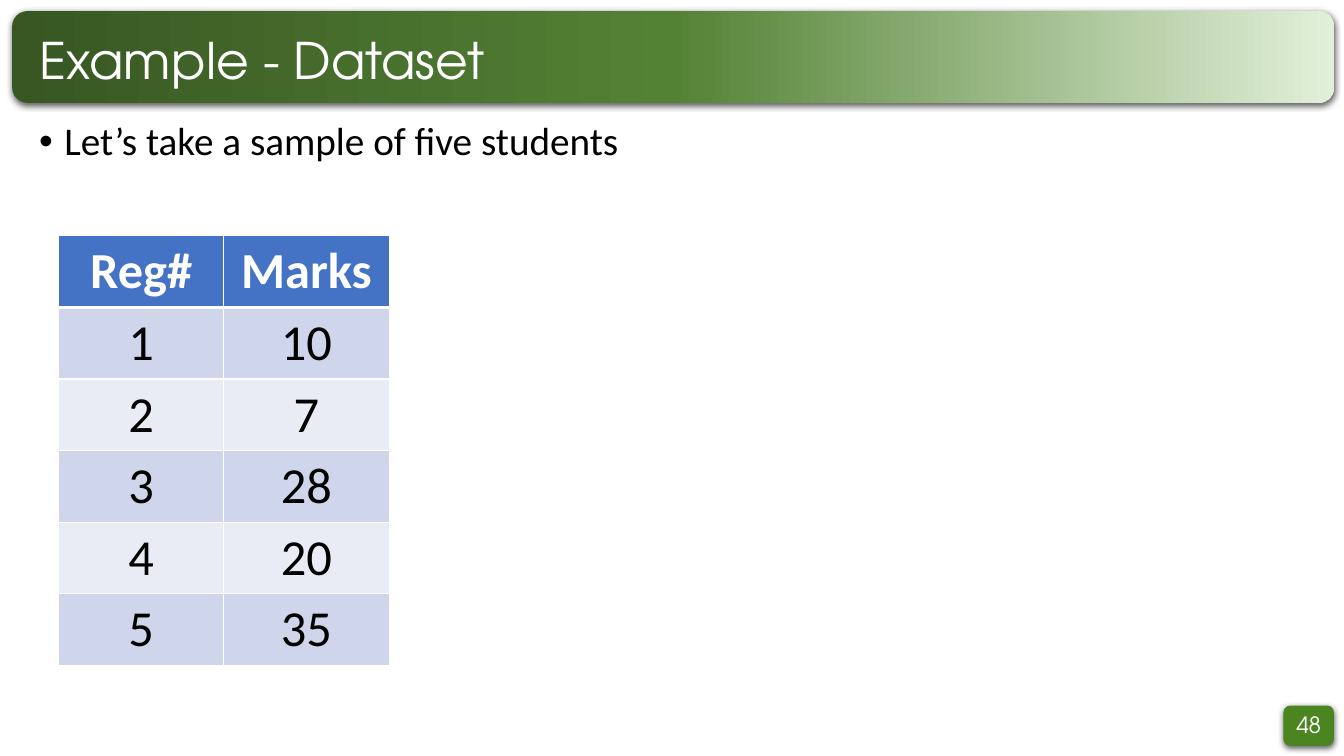
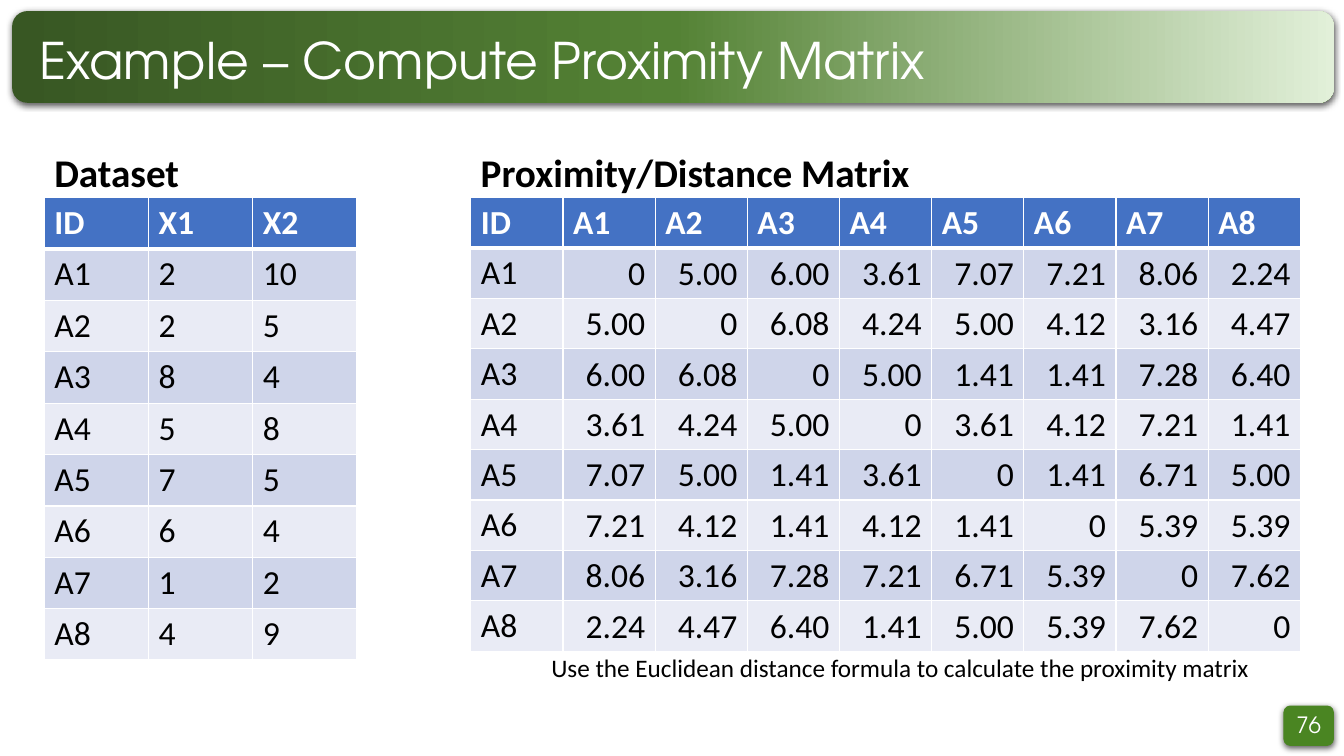
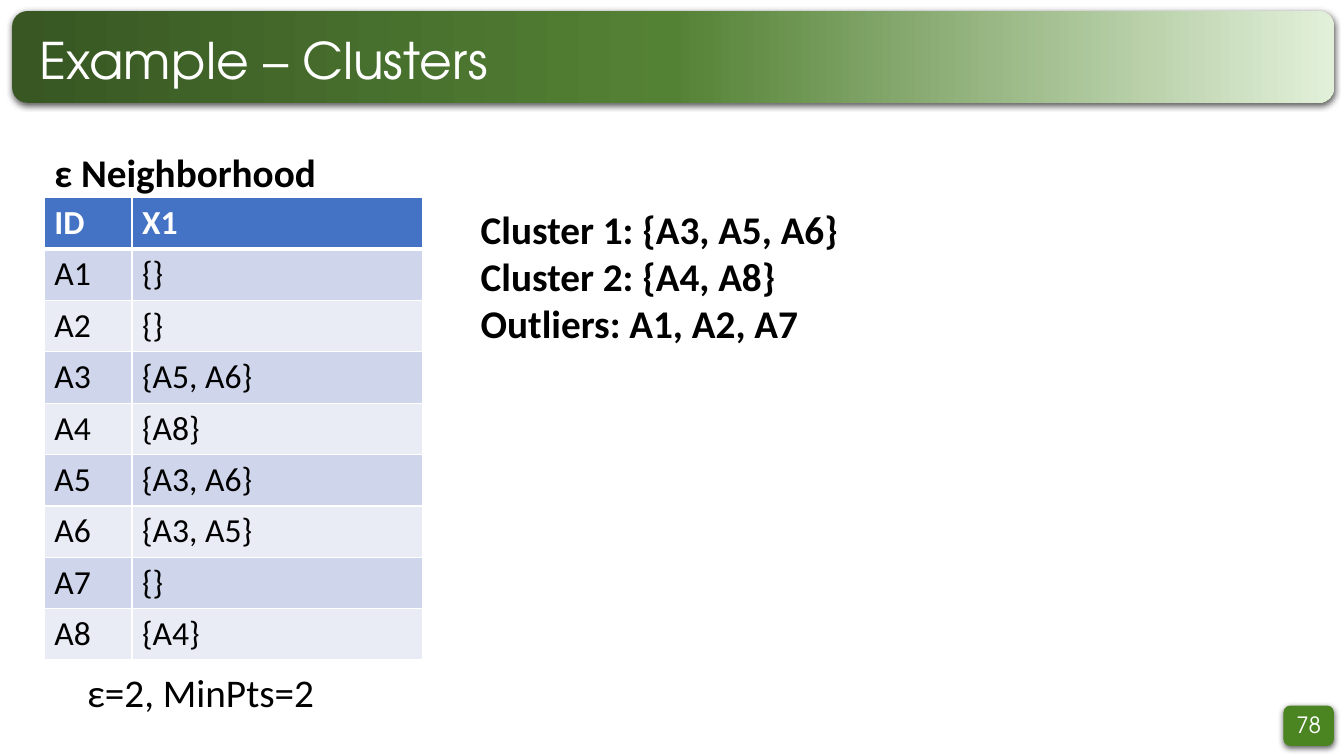
"""Build three slides on density-based clustering: dataset, proximity matrix, clusters."""
from lxml.etree import SubElement
from pptx import Presentation
from pptx.dml.color import RGBColor
from pptx.enum.shapes import MSO_SHAPE
from pptx.enum.text import MSO_ANCHOR, MSO_AUTO_SIZE, PP_ALIGN
from pptx.oxml import parse_xml
from pptx.oxml.ns import nsdecls, qn
from pptx.util import Inches, Pt

BODY_FONT, HEAD_FONT = "Calibri", "TeX Gyre Adventor"
WHITE, BLACK, BADGE = "FFFFFF", "000000", "4A8522"
HEADER, BANDS = "4472C4", ("CFD5EA", "E9EBF5")
BANNER_STOPS = ((0, "385723"), (50, "548235"), (100, "E2F0D9"))
BADGE_BOX, BANNER_BOX = (12.73, 7, 0.5, 0.4), (0.12, 0.11, 13.11, 0.91)
TITLE_BOX = (0.29, 0.3, 12.76, 0.65)
LEFT, RIGHT, LABEL_TOP, TABLE_TOP = 0.44, 4.67, 1.42, 1.96
SIDE_W, MAIN_W, LABEL_H = 3.1, 8.23, 0.57

IDS = [f"A{n}" for n in range(1, 9)]
MARKS = [("Reg#", "Marks"), ("1", "10"), ("2", "7"), ("3", "28"), ("4", "20"), ("5", "35")]
POINTS = ["2 10", "2 5", "8 4", "5 8", "7 5", "6 4", "1 2", "4 9"]
DISTANCES = [
    "0 5.00 6.00 3.61 7.07 7.21 8.06 2.24",
    "5.00 0 6.08 4.24 5.00 4.12 3.16 4.47",
    "6.00 6.08 0 5.00 1.41 1.41 7.28 6.40",
    "3.61 4.24 5.00 0 3.61 4.12 7.21 1.41",
    "7.07 5.00 1.41 3.61 0 1.41 6.71 5.00",
    "7.21 4.12 1.41 4.12 1.41 0 5.39 5.39",
    "8.06 3.16 7.28 7.21 6.71 5.39 0 7.62",
    "2.24 4.47 6.40 1.41 5.00 5.39 7.62 0",
]
NEIGHBORS = ["{}", "{}", "{A5, A6}", "{A8}", "{A3, A6}", "{A3, A5}", "{}", "{A4}"]
CLUSTERS = "Cluster 1: {A3, A5, A6}\nCluster 2: {A4, A8}\nOutliers: A1, A2, A7"


def rgb(value):
    return RGBColor.from_string(value)


def inches(box):
    return [Inches(v) for v in box]


def style(p, size, color=BLACK, bold=False, font=BODY_FONT, align=PP_ALIGN.LEFT):
    p.alignment = align
    for r in p.runs:
        r.font.name, r.font.size, r.font.bold = font, Pt(size), bold
        r.font.color.rgb = rgb(color)


def add_text(s, box, text, size, anchor=MSO_ANCHOR.TOP, **look):
    tf = s.shapes.add_textbox(*inches(box)).text_frame
    tf.word_wrap, tf.vertical_anchor = True, anchor
    tf.text = text
    for p in tf.paragraphs:
        style(p, size, **look)
    return tf


def add_panel(s, box, stops):
    sp = s.shapes.add_shape(MSO_SHAPE.ROUNDED_RECTANGLE, *inches(box))
    sp.line.fill.background()
    if len(stops) == 1:
        sp.fill.solid()
        sp.fill.fore_color.rgb = rgb(stops[0][1])
    else:
        sp.fill.gradient()
        sp.fill.gradient_angle = 0
        gs_list = sp.element.spPr.find(qn("a:gradFill")).find(qn("a:gsLst"))
        for gs in list(gs_list):
            gs_list.remove(gs)
        for pos, color in stops:
            gs = SubElement(gs_list, qn("a:gs"), pos=str(pos * 1000))
            SubElement(gs, qn("a:srgbClr"), val=color)
    sp.element.spPr.append(parse_xml(
        f'<a:effectLst {nsdecls("a")}><a:outerShdw blurRad="{Pt(4.5)}" dist="{Pt(1.5)}" '
        'dir="5400000" algn="t" rotWithShape="0"><a:srgbClr val="000000">'
        '<a:alpha val="63000"/></a:srgbClr></a:outerShdw></a:effectLst>'))
    return sp


def share_panels(s):
    """Move the badge and banner to the layout, behind its placeholders."""
    panels = [add_panel(s, BADGE_BOX, ((0, BADGE),)), add_panel(s, BANNER_BOX, BANNER_STOPS)]
    for place, sp in enumerate(panels, 2):
        s.slide_layout.shapes.element.insert(place, sp.element)


def add_slide(prs, title, number):
    s = prs.slides.add_slide(prs.slide_layouts[5])
    sp = s.shapes.title
    sp.left, sp.top, sp.width, sp.height = inches(TITLE_BOX)
    tf = sp.text_frame
    tf.text = title
    tf.auto_size, tf.vertical_anchor = MSO_AUTO_SIZE.NONE, MSO_ANCHOR.MIDDLE
    tf.paragraphs[0].line_spacing = 0.9
    style(tf.paragraphs[0], 36, WHITE, font=HEAD_FONT)
    add_text(s, BADGE_BOX[:3] + (0.38,), str(number), 16, MSO_ANCHOR.MIDDLE,
             color=WHITE, font=HEAD_FONT, align=PP_ALIGN.CENTER)
    return s


def set_borders(cell, row):
    widths = {"L": 1, "R": 1, "T": 3 if row == 1 else 1, "B": 3 if row == 0 else 1}
    for place, (side, width) in enumerate(widths.items()):
        cell._tc.get_or_add_tcPr().insert(place, parse_xml(
            f'<a:ln{side} {nsdecls("a")} w="{Pt(width)}"><a:solidFill>'
            f'<a:srgbClr val="{WHITE}"/></a:solidFill></a:ln{side}>'))


def add_grid(s, left, top, rows, widths, row_h, size=24, align=PP_ALIGN.LEFT, numeric=False):
    table = s.shapes.add_table(len(rows), len(widths), *inches(
        (left, top, sum(widths), row_h * len(rows)))).table
    for col, width in zip(table.columns, widths):
        col.width = Inches(width)
    for i, values in enumerate(rows):
        table.rows[i].height = Inches(row_h)
        for j, value in enumerate(values):
            cell = table.cell(i, j)
            cell.text = value
            cell.fill.solid()
            cell.fill.fore_color.rgb = rgb(BANDS[(i - 1) % 2] if i else HEADER)
            set_borders(cell, i)
            is_number = numeric and i and j
            if numeric:
                cell.margin_bottom = Inches(0.04)
            if is_number:
                cell.vertical_anchor = MSO_ANCHOR.BOTTOM
            style(cell.text_frame.paragraphs[0], size, BLACK if i else WHITE, not i,
                  align=PP_ALIGN.RIGHT if is_number else align)


def dataset_slide(prs):
    s = add_slide(prs, "Example - Dataset", 48)
    share_panels(s)
    tf = add_text(s, (0.29, 1.16, 12.76, 0.6), "Let’s take a sample of five students", 28)
    p = tf.paragraphs[0]
    p.line_spacing = 0.9
    pPr = p._p.get_or_add_pPr()
    pPr.set("marL", str(Inches(0.25)))
    pPr.set("indent", str(Inches(-0.25)))
    SubElement(pPr, qn("a:buFont"), typeface="Arial")
    SubElement(pPr, qn("a:buChar"), char="•")
    add_grid(s, 0.58, 2.34, MARKS, [1.64] * 2, 0.71, 36, PP_ALIGN.CENTER)


def matrix_slide(prs):
    s = add_slide(prs, "Example – Compute Proximity Matrix", 76)
    points = [["ID", "X1", "X2"]] + [[i, *v.split()] for i, v in zip(IDS, POINTS)]
    matrix = [["ID", *IDS]] + [[i, *v.split()] for i, v in zip(IDS, DISTANCES)]
    add_grid(s, LEFT, TABLE_TOP, points, [SIDE_W / 3] * 3, 0.51)
    add_text(s, (LEFT, LABEL_TOP, SIDE_W, LABEL_H), "Dataset", 28, bold=True)
    add_grid(s, RIGHT, TABLE_TOP, matrix, [MAIN_W / 9] * 9, 0.5, numeric=True)
    add_text(s, (RIGHT, LABEL_TOP, MAIN_W, LABEL_H), "Proximity/Distance Matrix", 28, bold=True)
    add_text(s, (5.37, 6.42, 7.2, 0.4),
             "Use the Euclidean distance formula to calculate the proximity matrix", 18)


def clusters_slide(prs):
    s = add_slide(prs, "Example – Clusters", 78)
    add_grid(s, LEFT, TABLE_TOP, [("ID", "X1"), *zip(IDS, NEIGHBORS)], [0.87, 2.88], 0.51)
    add_text(s, (LEFT, 6.58, SIDE_W, LABEL_H), "ε=2, MinPts=2", 28, align=PP_ALIGN.CENTER)
    add_text(s, (LEFT, LABEL_TOP, SIDE_W, LABEL_H), "ε Neighborhood", 28, bold=True)
    add_text(s, (RIGHT, 1.99, MAIN_W, 1.51), CLUSTERS, 28, bold=True)


def main():
    prs = Presentation()
    prs.slide_width, prs.slide_height = Inches(13.33), Inches(7.5)
    for build in (dataset_slide, matrix_slide, clusters_slide):
        build(prs)
    prs.save("out.pptx")


if __name__ == "__main__":
    main()
